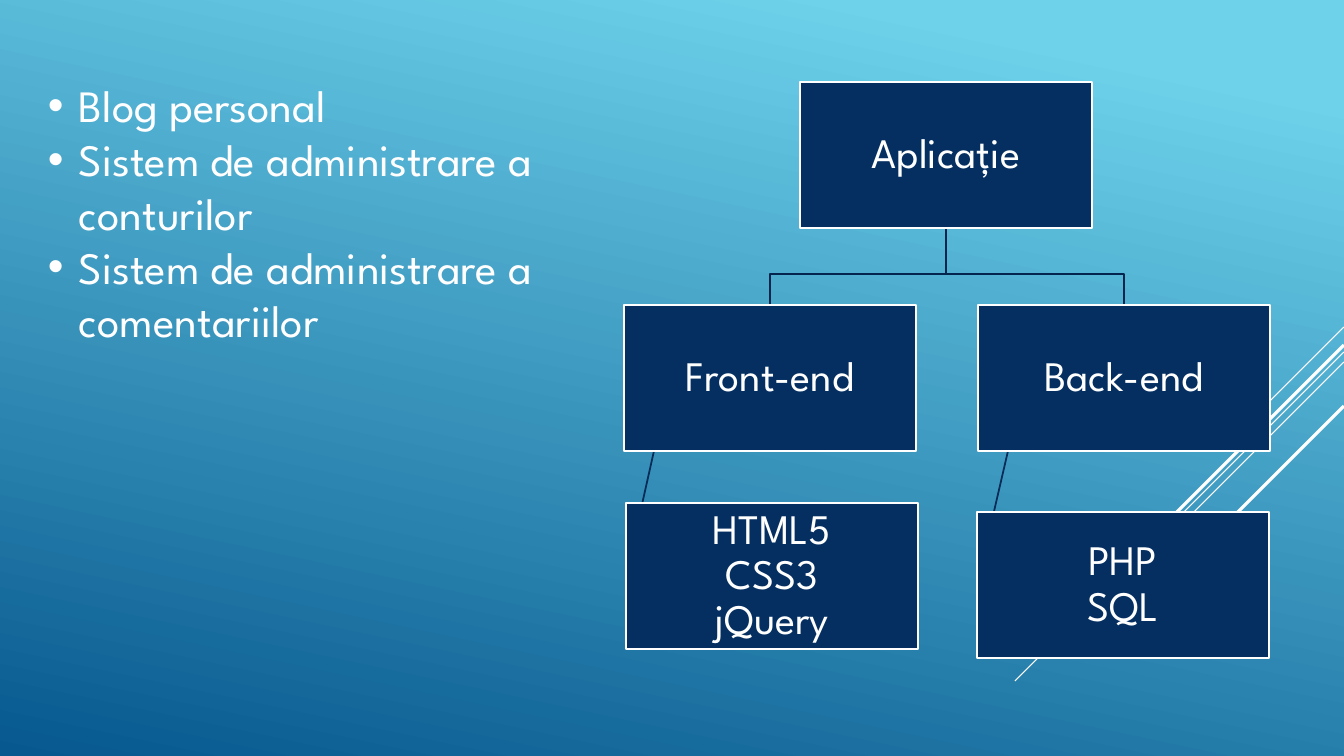
from lxml import etree
from pptx import Presentation
from pptx.dml.color import RGBColor
from pptx.enum.shapes import MSO_CONNECTOR as CONN, MSO_SHAPE as SHAPE
from pptx.enum.text import MSO_ANCHOR as ANCHOR, PP_ALIGN as ALIGN
from pptx.oxml.ns import qn
from pptx.util import Pt

PX = 12192000 / 1344
WHITE = RGBColor(0xFF, 0xFF, 0xFF)
NAVY = RGBColor(0x05, 0x2F, 0x61)
ELBOW = RGBColor(0x04, 0x26, 0x4E)
BRANCH = RGBColor(0x05, 0x2B, 0x58)
SKY = RGBColor(0x6E, 0xD2, 0xEB)
OCEAN = RGBColor(0x06, 0x58, 0x8E)
FONT = "League Spartan"
NODE_W, NODE_H = 292, 146


def px(*values):
    return [round(v * PX) for v in values]


def set_all(obj, values):
    for name, value in values.items():
        setattr(obj, name, value)


def style_runs(p, size):
    for r in p.runs:
        set_all(r.font, {"name": FONT, "size": Pt(size)})
        r.font.color.rgb = WHITE


def style_line(shape, color, width):
    shape.line.color.rgb = color
    shape.line.width = Pt(width)


def add_background(s):
    fill = s.background.fill
    fill.gradient()
    fill.gradient_angle = 258
    for stop, position, color in zip(fill.gradient_stops, (0.1, 1), (SKY, OCEAN)):
        stop.position = position
        stop.color.rgb = color


def add_line(s, x1, y1, x2, y2, color, width):
    line = s.shapes.add_connector(CONN.STRAIGHT, *px(x1, y1, x2, y2))
    style_line(line, color, width)
    etree.SubElement(line._element.spPr, qn("a:effectLst"))
    return line


def add_rays(s, right):
    rays = [(327, 101, 0.75), (352, 329, 0.75), (362, 209, 0.75),
            (345, 192, 2.25), (406, 140, 2.25)]
    for y, run, width in rays:
        add_line(s, right, y, right - run, y + run, WHITE, width)


def add_elbow(s, x1, y1, x2, y2):
    bend = y1 + 46
    builder = s.shapes.build_freeform(x1, y1, scale=PX)
    builder.add_line_segments([(x1, bend), (x2, bend), (x2, y2)], close=False)
    elbow = builder.convert_to_shape()
    elbow.fill.background()
    elbow.shadow.inherit = False
    style_line(elbow, ELBOW, 1.25)


def add_node(s, x, y, text):
    node = s.shapes.add_shape(SHAPE.RECTANGLE, *px(x, y, NODE_W, NODE_H))
    node.shadow.inherit = False
    node.fill.solid()
    node.fill.fore_color.rgb = NAVY
    style_line(node, WHITE, 1.25)
    tf = node.text_frame
    inset = px(2)[0]
    set_all(tf, {"word_wrap": True, "vertical_anchor": ANCHOR.MIDDLE,
                 "margin_left": inset, "margin_right": inset,
                 "margin_top": inset, "margin_bottom": inset})
    p = tf.paragraphs[0]
    p.text = text
    set_all(p, {"alignment": ALIGN.CENTER, "line_spacing": 0.9})
    style_runs(p, 30)
    return node


def add_hierarchy(s, x, y):
    root_x, row_y = x + 176, y + 223
    branches = [(x, "Front-end", x + 2, y + 421, "HTML5\nCSS3\njQuery"),
                (x + 354, "Back-end", x + 353, y + 430, "PHP\nSQL")]
    for left, title, leaf_x, leaf_y, leaf_text in branches:
        add_elbow(s, root_x + NODE_W // 2, y + NODE_H, left + NODE_W // 2, row_y)
        link = add_line(s, left + 30, row_y + NODE_H,
                        leaf_x, leaf_y + NODE_H // 2, BRANCH, 1.25)
        add_node(s, left, row_y, title)
        link.end_connect(add_node(s, leaf_x, leaf_y, leaf_text), 1)
    add_node(s, root_x, y, "Aplicație")


def add_features(s, x, y, w, h):
    tf = s.shapes.add_textbox(*px(x, y, w, h)).text_frame
    tf.word_wrap = True
    items = ["Blog personal", "Sistem de administrare a conturilor",
             "Sistem de administrare a comentariilor"]
    indent = px(31)[0]
    for i, item in enumerate(items):
        p = tf.add_paragraph() if i else tf.paragraphs[0]
        p.text = item
        style_runs(p, 32)
        pPr = p._p.get_or_add_pPr()
        pPr.set("marL", str(indent))
        pPr.set("indent", str(-indent))
        etree.SubElement(pPr, qn("a:buFont")).set("typeface", "Arial")
        etree.SubElement(pPr, qn("a:buChar")).set("char", "•")


def main():
    prs = Presentation()
    prs.slide_width, prs.slide_height = px(1344, 756)
    s = prs.slides.add_slide(prs.slide_layouts[6])
    add_background(s)
    add_rays(s, 1344)
    add_hierarchy(s, 624, 82)
    add_features(s, 38, 73, 575, 281)
    prs.save("out.pptx")


if __name__ == "__main__":
    main()
